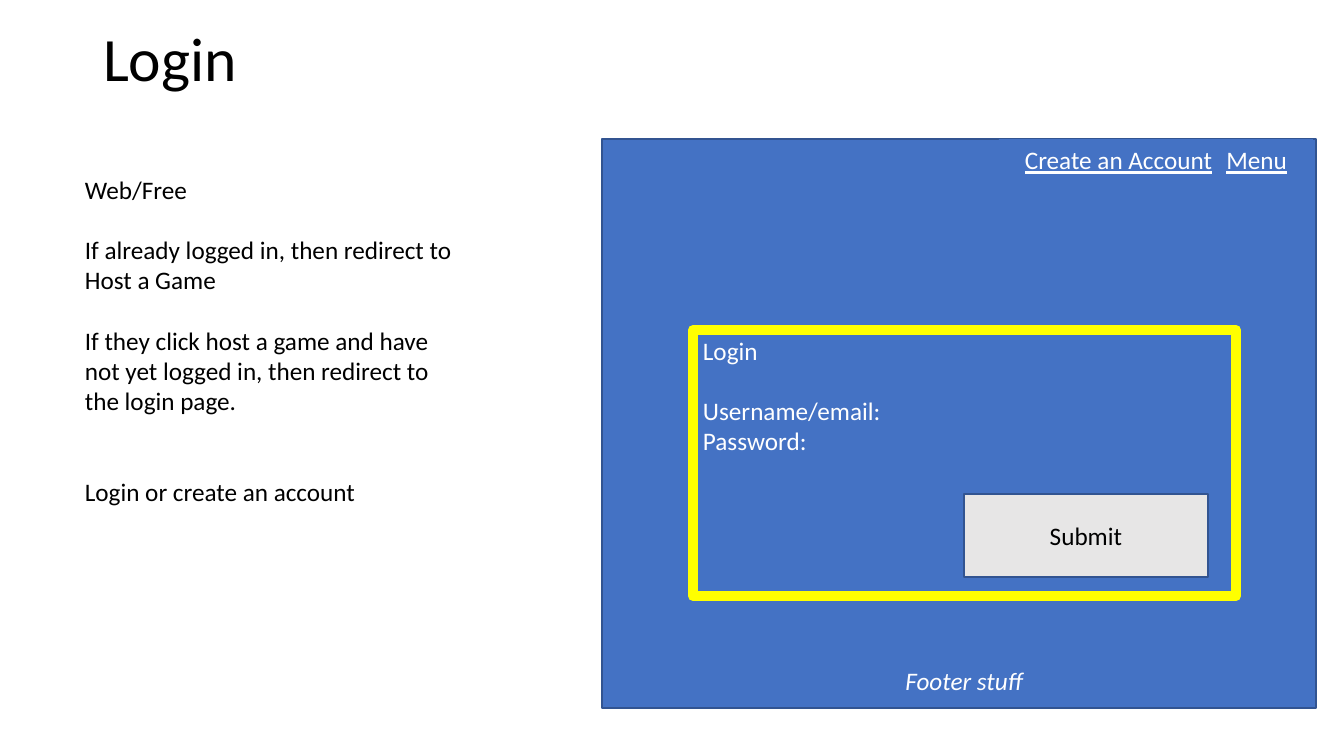
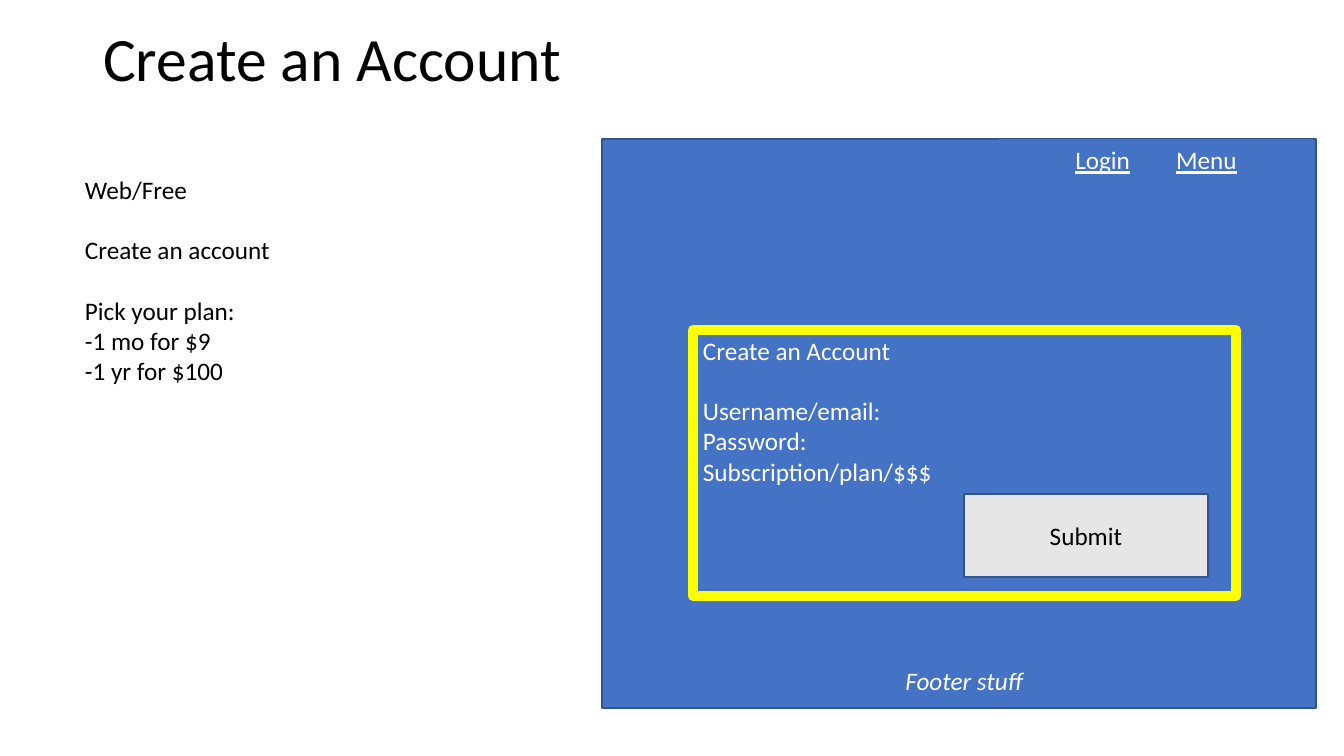
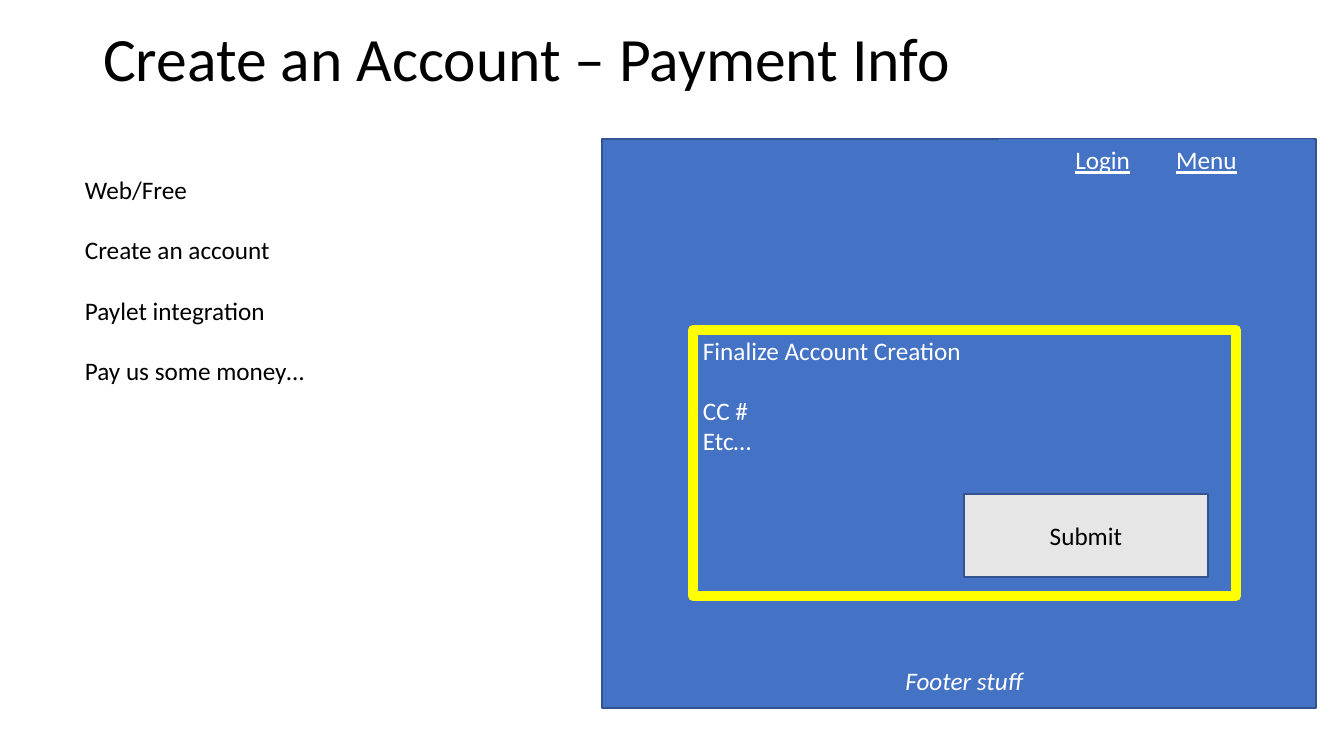
from dataclasses import dataclass
from typing import NamedTuple

from pptx import Presentation
from pptx.dml.color import RGBColor
from pptx.enum.shapes import MSO_SHAPE
from pptx.enum.text import MSO_ANCHOR, MSO_AUTO_SIZE, PP_ALIGN
from pptx.util import Emu, Pt

RECT = MSO_SHAPE.RECTANGLE
TOP, MIDDLE = MSO_ANCHOR.TOP, MSO_ANCHOR.MIDDLE
LEFT, CENTER = PP_ALIGN.LEFT, PP_ALIGN.CENTER
FIXED, GROW = MSO_AUTO_SIZE.NONE, MSO_AUTO_SIZE.SHAPE_TO_FIT_TEXT

SCALE = 914400 / 100.8
TAB = 914400
TITLE_ONLY = 5


@dataclass(frozen=True)
class Theme:
    """Colours and type sizes of the deck."""
    font: str = "Calibri"
    black: str = "000000"
    white: str = "FFFFFF"
    blue: str = "4472C4"
    navy: str = "325491"
    yellow: str = "FFFF00"
    gray: str = "E7E6E6"
    head: float = 44
    body: float = 18
    row: float = 21.6
    thin: float = 1
    thick: float = 7.25


class Box(NamedTuple):
    """A place on the slide, in pixels."""
    left: int
    top: int
    width: int
    height: int


class Line(NamedTuple):
    """A paragraph, with the number of free rows above it."""
    text: str
    gap: int = 0


@dataclass(frozen=True)
class Page:
    """What differs from slide to slide."""
    title: str
    link: str
    notes: tuple[Line, ...]
    area: Box
    wrap: bool
    form: tuple[Line, ...]


THEME = Theme()
TITLE = Box(93, 0, 1159, 123)
PANEL = Box(602, 139, 714, 569)
FORM = Box(693, 330, 543, 266)
MENU = Box(999, 139, 314, 41)
FOOTER = Box(842, 660, 244, 41)
BUTTON = Box(964, 494, 244, 83)

PAGES = (
    Page("Login", "Create an Account",
         (Line("Web/Free"),
          Line("If already logged in, then redirect to Host a Game", 1),
          Line("If they click host a game and have not yet logged in, "
               "then redirect to the login page.", 1),
          Line("Login or create an account", 2)),
         Box(75, 169, 389, 377), True,
         (Line("Login"), Line("Username/email:", 1), Line("Password:"))),
    Page("Create an Account", "Login",
         (Line("Web/Free"), Line("Create an account", 1),
          Line("Pick your plan:", 1), Line("-1 mo for $9"),
          Line("-1 yr for $100")),
         Box(75, 169, 208, 224), False,
         (Line("Create an Account"), Line("Username/email:", 1),
          Line("Password:"), Line("Subscription/plan/$$$"))),
    Page("Create an Account – Payment Info", "Login",
         (Line("Web/Free"), Line("Create an account", 1),
          Line("Paylet integration", 1), Line("Pay us some money…", 1)),
         Box(75, 169, 242, 224), False,
         (Line("Finalize Account Creation"), Line("CC #", 1),
          Line("Etc…"))),
)


def place(box: Box) -> tuple[Emu, ...]:
    """Turn a pixel box into EMU."""
    return tuple(Emu(round(side * SCALE)) for side in box)


def style(para, color: str, size: float = THEME.body) -> None:
    """Give every run of a paragraph its font."""
    for run in para.runs:
        run.font.name = THEME.font
        run.font.size = Pt(size)
        run.font.color.rgb = RGBColor.from_string(color)


def write(frame, lines: tuple[Line, ...], color: str, align=LEFT) -> None:
    """Fill a text frame, one paragraph for each line."""
    frame.text = "\n".join(line.text for line in lines)
    for para, line in zip(frame.paragraphs, lines):
        para.alignment = align
        para.space_before = Pt(line.gap * THEME.row)
        style(para, color)


def block(slide, box: Box, fill: str = THEME.blue, edge: str = "",
          width: float = THEME.thin, anchor=MIDDLE):
    """Draw a flat rectangle, with an outline if an edge colour is given."""
    shape = slide.shapes.add_shape(RECT, *place(box))
    shape.shadow.inherit = False
    shape.fill.solid()
    shape.fill.fore_color.rgb = RGBColor.from_string(fill)
    if edge:
        shape.line.color.rgb = RGBColor.from_string(edge)
        shape.line.width = Pt(width)
    else:
        shape.line.fill.background()
    shape.text_frame.word_wrap = True
    shape.text_frame.vertical_anchor = anchor
    return shape


def head(slide, text: str) -> None:
    """Place and format the title."""
    title = slide.shapes.title
    title.left, title.top, title.width, title.height = place(TITLE)
    frame = title.text_frame
    frame.text = text
    frame.auto_size = FIXED
    frame.vertical_anchor = MIDDLE
    para = frame.paragraphs[0]
    para.alignment = LEFT
    para.line_spacing = 0.9
    style(para, THEME.black, THEME.head)


def menu(slide, link: str) -> None:
    """Draw the bar with two underlined entries split by a tab."""
    para = block(slide, MENU).text_frame.paragraphs[0]
    para.alignment = CENTER
    para._p.get_or_add_pPr().set("defTabSz", str(TAB))
    for text in (link, "\t", "Menu"):
        run = para.add_run()
        run.text = text
        run.font.underline = text != "\t"
    style(para, THEME.white)


def notes(slide, page: Page) -> None:
    """Write the remarks beside the screen."""
    frame = slide.shapes.add_textbox(*place(page.area)).text_frame
    frame.word_wrap = page.wrap
    frame.auto_size = GROW
    write(frame, page.notes, THEME.black)


def screen(slide, page: Page) -> None:
    """Draw the mock screen with its form, menu, footer and button."""
    block(slide, PANEL, edge=THEME.navy)
    form = block(slide, FORM, edge=THEME.yellow, width=THEME.thick, anchor=TOP)
    write(form.text_frame, page.form, THEME.white)
    menu(slide, page.link)
    footer = block(slide, FOOTER).text_frame
    write(footer, (Line("Footer stuff"),), THEME.white, CENTER)
    footer.paragraphs[0].runs[0].font.italic = True
    button = block(slide, BUTTON, THEME.gray, THEME.navy)
    write(button.text_frame, (Line("Submit"),), THEME.black, CENTER)


def main() -> None:
    """Build the deck and save it."""
    deck = Presentation()
    _, _, deck.slide_width, deck.slide_height = place(Box(0, 0, 1344, 756))
    for page in PAGES:
        slide = deck.slides.add_slide(deck.slide_layouts[TITLE_ONLY])
        head(slide, page.title)
        screen(slide, page)
        notes(slide, page)
    deck.save("out.pptx")


main()
